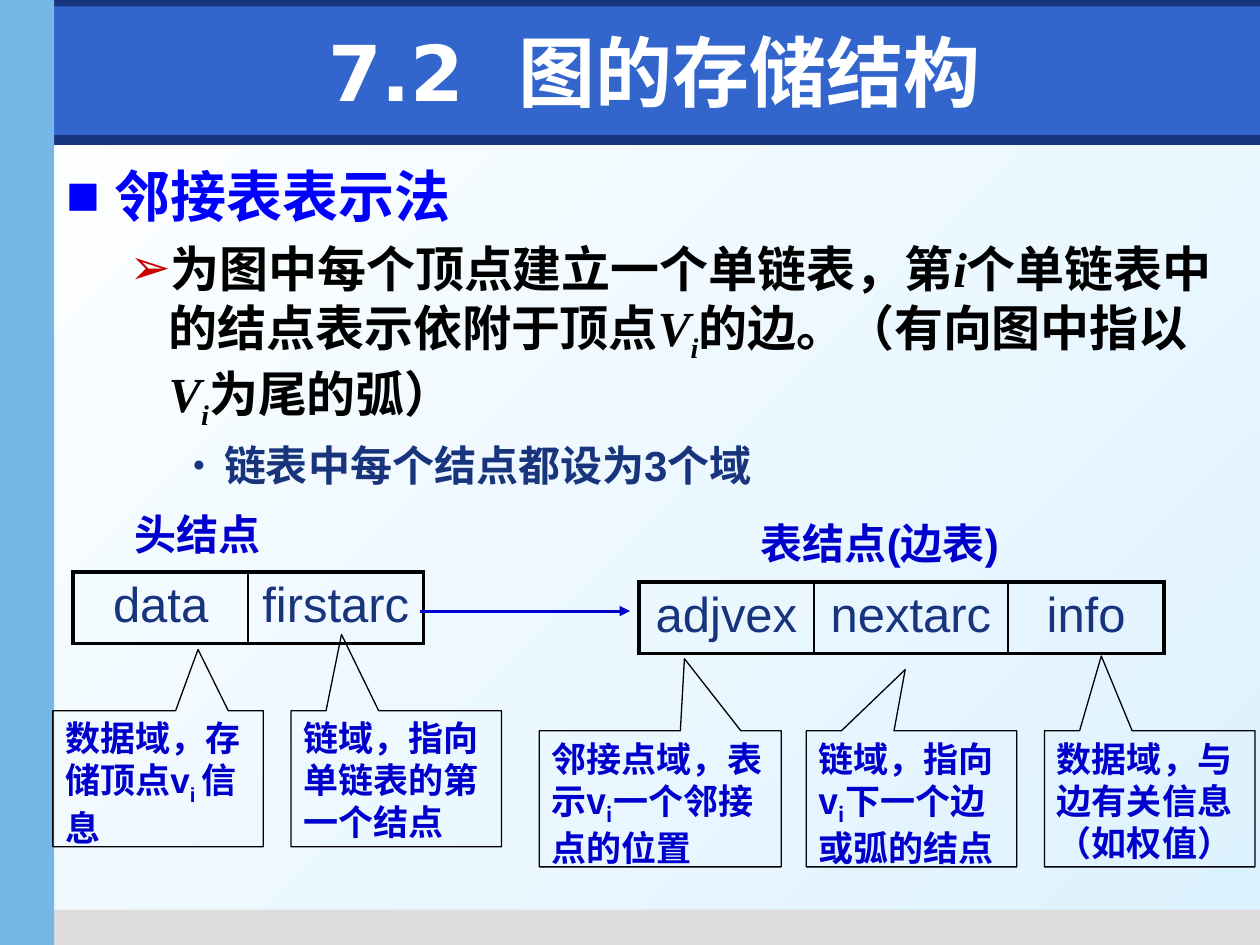
from lxml.etree import SubElement, Element
from pptx import Presentation
from pptx.dml.color import RGBColor as RGB
from pptx.enum.shapes import MSO_CONNECTOR as CONN, MSO_SHAPE as SHAPE
from pptx.enum.text import MSO_ANCHOR as ANCHOR, PP_ALIGN as ALIGN
from pptx.oxml.ns import qn
from pptx.util import Inches, Pt

THEME = dict(
    navy="17347D", grey="DDDDDD", blue="3366CC", sky="77B7E7", white="FFFFFF",
    mist="DDF2FF", head="0000FF", red="CC0000", black="000000", label="0000CC",
    title_pt=44, h1_pt=32, h2_pt=28, h3_pt=24, cell_pt=28, label_pt=24, note_pt=20,
)
T = THEME
ARIAL, TIMES, CJK, TITLE = "Arial", "Times New Roman", "Noto Sans CJK SC", "DejaVu Sans"

prs = Presentation()
prs.slide_width, prs.slide_height = Inches(10), Inches(7.5)
COL, ROW = prs.slide_width / 100, prs.slide_height / 75  # grid of 100 by 75
s = prs.slides.add_slide(prs.slide_layouts[6])


def grid(x, y, w, h):
    """Turn columns and rows into slide lengths."""
    return round(x * COL), round(y * ROW), round(w * COL), round(h * ROW)


def write(p, runs, size, color, bold=True):
    """Add runs of (text, font, style); style is '', 'i' (italic) or holds '_' (subscript)."""
    for text, font, style in runs:
        r = p.add_run()
        r.text = text
        f = r.font
        f.name, f.size, f.bold, f.italic = font, Pt(size), bold, "i" in style
        f.color.rgb = RGB.from_string(T[color])
        rPr = f._element
        SubElement(rPr, qn("a:ea")).set("typeface", CJK)
        if "_" in style:
            rPr.set("baseline", "-25000")


# Background
bg = s.background.fill
bg.gradient()
bg.gradient_angle = 315
for stop, color, pos in zip(bg.gradient_stops, ("white", "mist"), (0, 1)):
    stop.color.rgb = RGB.from_string(T[color])
    stop.position = pos

# Frame bands
for place, color in [
    ((0.4, 10.7, 100, 0.8), "navy"),
    ((3.5, 72.2, 96.5, 2.8), "grey"),
    ((0, -0.3, 100, 2.4), "navy"),
    ((4.3, 0.5, 95.7, 10.2), "blue"),
    ((0, 0, 4.3, 75), "sky"),
]:
    sp = s.shapes.add_shape(SHAPE.RECTANGLE, *grid(*place))
    sp.shadow.inherit = False
    sp.fill.solid()
    sp.fill.fore_color.rgb = RGB.from_string(T[color])
    sp.line.fill.background()

# Title
tf = s.shapes.add_textbox(*grid(5.9, 1.3, 92.1, 8.7)).text_frame
tf.word_wrap, tf.vertical_anchor = True, ANCHOR.MIDDLE
tf.paragraphs[0].alignment = ALIGN.CENTER
write(tf.paragraphs[0], [("7.2  图的存储结构", TITLE, "")], T["title_pt"], "white")

# Bulleted body: level, indent, hang, bullet, its colour and share, size, colour, runs
V_I = [("V", TIMES, "i"), ("i", TIMES, "i_")]
body = [
    (0, 0.38, 0.38, "■", "head", 100, "h1_pt", "head", [("邻接表表示法", ARIAL, "")]),
    (1, 0.81, 0.31, "➢", "red", 100, "h2_pt", "black", [
        ("为图中每个顶点建立一个单链表，第", ARIAL, ""), ("i", TIMES, "i"),
        ("个单链表中的结点表示依附于顶点", ARIAL, ""), *V_I,
        ("的边。（有向图中指以", ARIAL, ""), *V_I, ("为尾的弧）", ARIAL, "")]),
    (2, 1.25, 0.25, "●", "navy", 50, "h3_pt", "navy",
     [("链表中每个结点都设为3个域", ARIAL, "")]),
]
tf = s.shapes.add_textbox(*grid(4.3, 12.3, 93.7, 59)).text_frame
tf.word_wrap = True
for n, (level, indent, hang, mark, mark_color, share, size, color, runs) in enumerate(body):
    p = tf.add_paragraph() if n else tf.paragraphs[0]
    p.level = level
    p.space_before = Pt(0.2 * T[size])
    pPr = p._p.get_or_add_pPr()
    pPr.set("marL", str(Inches(indent)))
    pPr.set("indent", str(-Inches(hang)))
    SubElement(SubElement(pPr, qn("a:buClr")), qn("a:srgbClr")).set("val", T[mark_color])
    SubElement(pPr, qn("a:buSzPct")).set("val", str(share * 1000))
    SubElement(pPr, qn("a:buFont")).set("typeface", ARIAL)
    SubElement(pPr, qn("a:buChar")).set("char", mark)
    write(p, runs, T[size], color)

# Node tables: thick outline, thin inner rules
for x, y, h, widths, fields in [
    (50.7, 46.2, 5.6, (13.9, 15.4, 12.4), ("adjvex", "nextarc", "info")),
    (5.8, 45.4, 4.8, (13.9, 13.9), ("data", "firstarc")),
]:
    tbl = s.shapes.add_table(1, len(fields), *grid(x, y, sum(widths), h)).table
    tbl.first_row = tbl.horz_banding = False
    last = len(fields) - 1
    for n, (width, field) in enumerate(zip(widths, fields)):
        tbl.columns[n].width = round(width * COL)
        cell = tbl.cell(0, n)
        cell.fill.background()
        p = cell.text_frame.paragraphs[0]
        p.alignment = ALIGN.CENTER
        write(p, [(field, ARIAL, "")], T["cell_pt"], "navy", bold=False)
        edges = dict(L=2.25 if n == 0 else 1, R=2.25 if n == last else 1, T=2.25, B=2.25)
        for k, (side, weight) in enumerate(edges.items()):
            ln = Element(qn(f"a:ln{side}"), w=str(Pt(weight)))
            SubElement(SubElement(ln, qn("a:solidFill")), qn("a:srgbClr")).set("val", T["black"])
            cell._tc.get_or_add_tcPr().insert(k, ln)

# Table headings
for place, text in [((59.4, 40.6, 23.5, 5), "表结点(边表)"), ((9.7, 39.9, 19.7, 5), "头结点")]:
    tf = s.shapes.add_textbox(*grid(*place)).text_frame
    tf.word_wrap = True
    write(tf.paragraphs[0], [(text, ARIAL, "")], T["label_pt"], "label")

# Callouts: left, top, width, pointer offset, runs
SUB_I = ("i", CJK, "_")
for x, y, w, tip, runs in [
    (42.8, 58, 19.2, (0.1, -1.03), [
        ("邻接点域，", ARIAL, ""), ("表示v", CJK, ""), SUB_I, ("一个邻接点的位置", CJK, "")]),
    (64, 58, 16.7, (-0.03, -0.95), [
        ("链域，", ARIAL, ""), ("指向v", CJK, ""), SUB_I, ("下一个边或弧的结点", CJK, "")]),
    (82.9, 58, 16.7, (-0.23, -1.05), [
        ("数据域，", ARIAL, ""), ("与边有关信息（如权值）", CJK, "")]),
    (4.2, 56.4, 16.7, (0.19, -0.95), [
        ("数据域，存储顶点v", ARIAL, ""), ("i ", ARIAL, "_"), ("信息", ARIAL, "")]),
    (23.1, 56.4, 16.7, (-0.26, -1.06), [
        ("链域，", ARIAL, ""), ("指向单链表的第一个结点", CJK, "")]),
]:
    sp = s.shapes.add_shape(SHAPE.RECTANGULAR_CALLOUT, *grid(x, y, w, 10.8))
    sp.shadow.inherit = False
    sp.adjustments[0], sp.adjustments[1] = tip
    sp.fill.background()
    sp.line.color.rgb = RGB.from_string(T["black"])
    sp.line.width = Pt(0.75)
    tf = sp.text_frame
    tf.word_wrap, tf.vertical_anchor = True, ANCHOR.TOP
    tf.paragraphs[0].alignment = ALIGN.LEFT
    write(tf.paragraphs[0], runs, T["note_pt"], "label")

# Arrow from head node to list node
arrow = s.shapes.add_connector(CONN.STRAIGHT, *grid(33.3, 48.5, 50, 48.5))
arrow.line.color.rgb = RGB.from_string(T["label"])
arrow.line.width = Pt(1.75)
SubElement(arrow.line._get_or_add_ln(), qn("a:tailEnd")).set("type", "triangle")
SubElement(arrow._element.spPr, qn("a:effectLst"))

prs.save("out.pptx")
